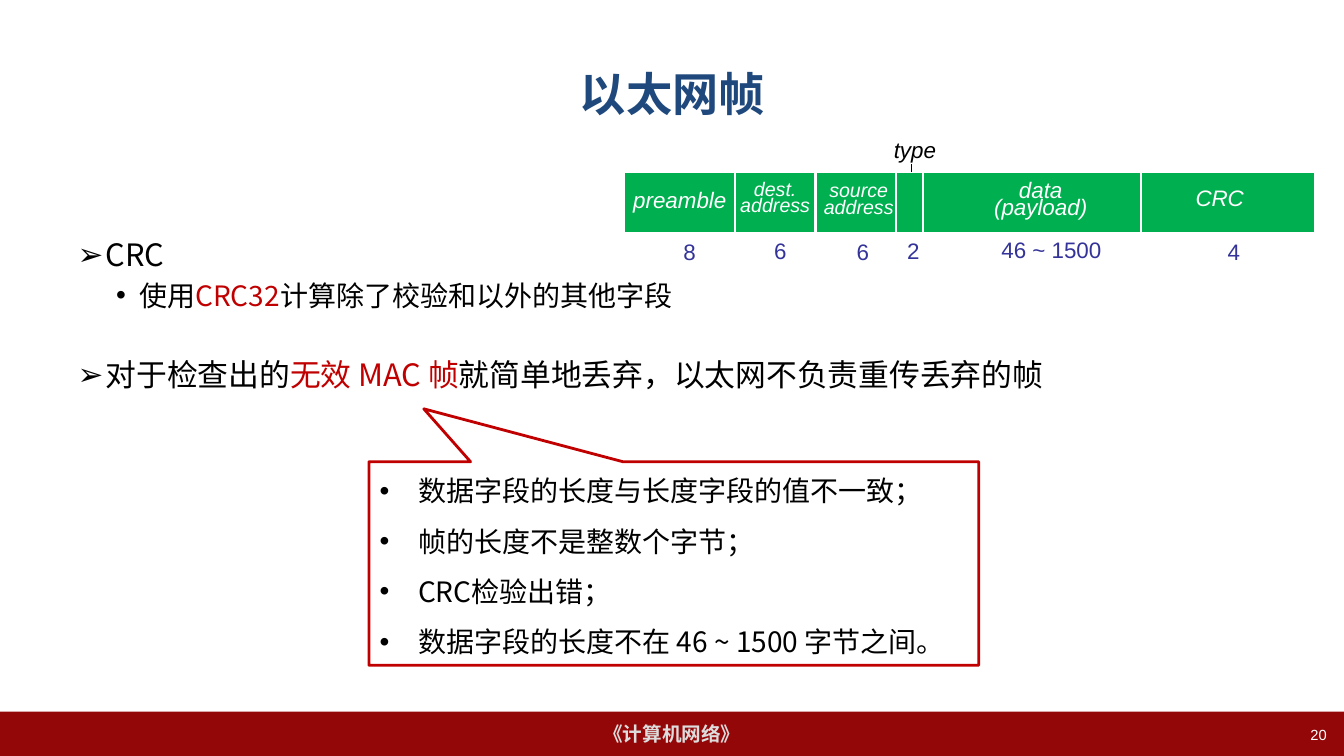
"""Builds a lecture slide on the Ethernet frame, its CRC and invalid frames."""
from dataclasses import dataclass

from lxml.etree import SubElement
from pptx import Presentation
from pptx.dml.color import RGBColor
from pptx.enum.shapes import MSO_CONNECTOR as Link, MSO_SHAPE as Preset
from pptx.enum.text import MSO_ANCHOR as Anchor, MSO_AUTO_SIZE as Fit, PP_ALIGN as Align
from pptx.oxml.ns import qn
from pptx.util import Pt


@dataclass(frozen=True)
class Theme:
    latin: str = "Arial"
    asian: str = "Noto Sans CJK SC"
    white: str = "FFFFFF"
    black: str = "000000"
    red: str = "C00000"
    title: str = "1F497D"
    band: str = "940709"
    band_text: str = "DDDDDD"
    field: str = "00B050"
    octets: str = "333399"
    title_size: float = 33
    point_size: float = 22
    detail_size: float = 20
    field_size: float = 16
    small_size: float = 14
    page_size: float = 10.5


THEME = Theme()


@dataclass(frozen=True)
class Label:
    text: str
    left: float
    top: float
    width: float
    height: float
    size: float = THEME.field_size
    color: str = THEME.white
    italic: bool = True
    align: Align = Align.CENTER
    leading: float | None = 12
    wrap: bool = True


@dataclass(frozen=True)
class Rule:
    x: float
    top: float
    bottom: float
    color: str = THEME.white
    weight: float = 1.5


@dataclass(frozen=True)
class Point:
    pieces: tuple
    size: float
    leading: float
    before: float
    margin: float
    hanging: float
    bullet: str = "•"
    level: int = 0


def octet_label(text: str, left: float, top: float, width: float = 23) -> Label:
    return Label(text, left, top, width, 26.6, color=THEME.octets,
                 italic=False, leading=None, wrap=False)


RULES = (
    Rule(650.9, 117.4, 133.2, THEME.black, 0.75),
    Rule(524.9, 122.4, 165.6),
    Rule(582.5, 122.4, 168.5),
    Rule(640.1, 123.1, 166.3),
    Rule(659.5, 122.4, 168.5),
    Rule(815, 123.1, 172.1),
)
LABELS = (
    Label("dest.\naddress", 520.6, 127.4, 66.2, 32.4, THEME.small_size),
    Label("source\naddress", 580.3, 128.2, 66.2, 32.4, THEME.small_size),
    Label("data (payload)", 689, 129.6, 108.7, 32.4),
    Label("CRC", 837.4, 135.4, 67.7, 20.9),
    Label("preamble", 443.5, 136.8, 84.2, 20.9),
    Label("type", 631.4, 93.6, 60.5, 26.6, color=THEME.black,
          align=Align.LEFT, leading=None),
    octet_label("8", 481, 166.3),
    octet_label("6", 545.8, 165.6),
    octet_label("6", 604.8, 166.3),
    octet_label("2", 640.8, 165.6),
    octet_label("46 ~ 1500", 707.8, 164.9, 86.4),
    octet_label("4", 869.8, 166.3),
    Label("20", 730.8, 514.8, 223.9, 25.2, THEME.page_size,
          italic=False, align=Align.RIGHT, leading=None),
)
POINTS = (
    Point((("CRC", THEME.black),), THEME.point_size, 32, 0, 20, -20, "➢"),
    Point((("使用", THEME.black), ("CRC32", THEME.red),
           ("计算除了校验和以外的其他字段", THEME.black)),
          THEME.detail_size, 28, 0, 44, -16.5, level=1),
    Point((("对于检查出的", THEME.black), ("无效 MAC 帧", THEME.red),
           ("就简单地丢弃，以太网不负责重传丢弃的帧", THEME.black)),
          THEME.point_size, 32, 25.7, 20, -20, "➢"),
)
FAULTS = tuple(
    Point(((text, THEME.black),), THEME.detail_size, 29, 7 if index else 0, 28, -27.4)
    for index, text in enumerate((
        "数据字段的长度与长度字段的值不一致；",
        "帧的长度不是整数个字节；",
        "CRC检验出错；",
        "数据字段的长度不在 46 ~ 1500 字节之间。",
    ))
)


def write(para, text: str, *, size: float, color: str, latin: str = THEME.latin,
          bold: bool = False, italic: bool = False) -> None:
    span = para.add_run()
    span.text = text
    font = span.font
    font.size, font.bold, font.italic = Pt(size), bold, italic
    font.color.rgb = RGBColor.from_string(color)
    font.name = latin
    SubElement(font._element, qn("a:ea")).set("typeface", THEME.asian)


def next_para(frame, index: int):
    return frame.add_paragraph() if index else frame.paragraphs[0]


def place(shape, left: float, top: float, width: float, height: float) -> None:
    shape.left, shape.top, shape.width, shape.height = map(Pt, (left, top, width, height))


def write_points(frame, points: tuple[Point, ...]) -> None:
    frame.word_wrap, frame.auto_size = True, Fit.NONE
    frame.vertical_anchor = Anchor.TOP
    for index, point in enumerate(points):
        para = next_para(frame, index)
        para.level, para.alignment = point.level, Align.LEFT
        para.line_spacing = Pt(point.leading)
        para.space_before, para.space_after = Pt(point.before), Pt(0)
        props = para._p.get_or_add_pPr()
        props.set("marL", str(Pt(point.margin)))
        props.set("indent", str(Pt(point.hanging)))
        SubElement(props, qn("a:buFont")).set("typeface", THEME.latin)
        SubElement(props, qn("a:buChar")).set("char", point.bullet)
        for text, color in point.pieces:
            write(para, text, size=point.size, color=color, latin=THEME.asian)


def draw_box(page, preset: Preset, area: tuple, fill: str,
             line: str | None = None, weight: float = 0.75):
    box = page.shapes.add_shape(preset, *map(Pt, area))
    box.shadow.inherit = False
    box.fill.solid()
    box.fill.fore_color.rgb = RGBColor.from_string(fill)
    if line:
        box.line.color.rgb = RGBColor.from_string(line)
        box.line.width = Pt(weight)
    else:
        box.line.fill.background()
    return box


def draw_rule(page, rule: Rule) -> None:
    line = page.shapes.add_connector(
        Link.STRAIGHT, Pt(rule.x), Pt(rule.top), Pt(rule.x), Pt(rule.bottom))
    line.line.color.rgb = RGBColor.from_string(rule.color)
    line.line.width = Pt(rule.weight)
    SubElement(line._element.spPr, qn("a:effectLst"))


def draw_label(page, label: Label) -> None:
    box = page.shapes.add_textbox(
        *map(Pt, (label.left, label.top, label.width, label.height)))
    frame = box.text_frame
    frame.word_wrap = label.wrap
    for index, text in enumerate(label.text.split("\n")):
        para = next_para(frame, index)
        para.alignment = label.align
        if label.leading:
            para.line_spacing = Pt(label.leading)
        write(para, text, size=label.size, color=label.color, italic=label.italic)


def main() -> None:
    deck = Presentation()
    deck.slide_width, deck.slide_height = Pt(960), Pt(540)
    page = deck.slides.add_slide(deck.slide_layouts[1])

    title, body = page.placeholders
    place(title, 48.2, 21.6, 864, 90)
    title.text_frame.vertical_anchor = Anchor.MIDDLE
    heading = title.text_frame.paragraphs[0]
    heading.alignment = Align.CENTER
    write(heading, "以太网帧", size=THEME.title_size, color=THEME.title, bold=True)
    place(body, 48.2, 159.3, 864, 323)
    write_points(body.text_frame, POINTS)

    band = draw_box(page, Preset.RECTANGLE, (0, 508.3, 960, 31.7), THEME.band)
    band.text_frame.vertical_anchor = Anchor.MIDDLE
    course = band.text_frame.paragraphs[0]
    course.alignment = Align.CENTER
    write(course, "《计算机网络》", size=THEME.small_size, color=THEME.band_text, bold=True)

    callout = draw_box(page, Preset.RECTANGULAR_CALLOUT, (263.5, 329.8, 435.6, 145.4),
                       THEME.white, THEME.red, 2)
    callout.adjustments[0], callout.adjustments[1] = -0.41, -0.76
    write_points(callout.text_frame, FAULTS)

    type_tick, *dividers = RULES
    draw_rule(page, type_tick)
    draw_box(page, Preset.RECTANGLE, (446.4, 123.1, 492.5, 43.2), THEME.field, THEME.white)
    for divider in dividers:
        draw_rule(page, divider)
    for label in LABELS:
        draw_label(page, label)
    deck.save("out.pptx")


if __name__ == "__main__":
    main()
